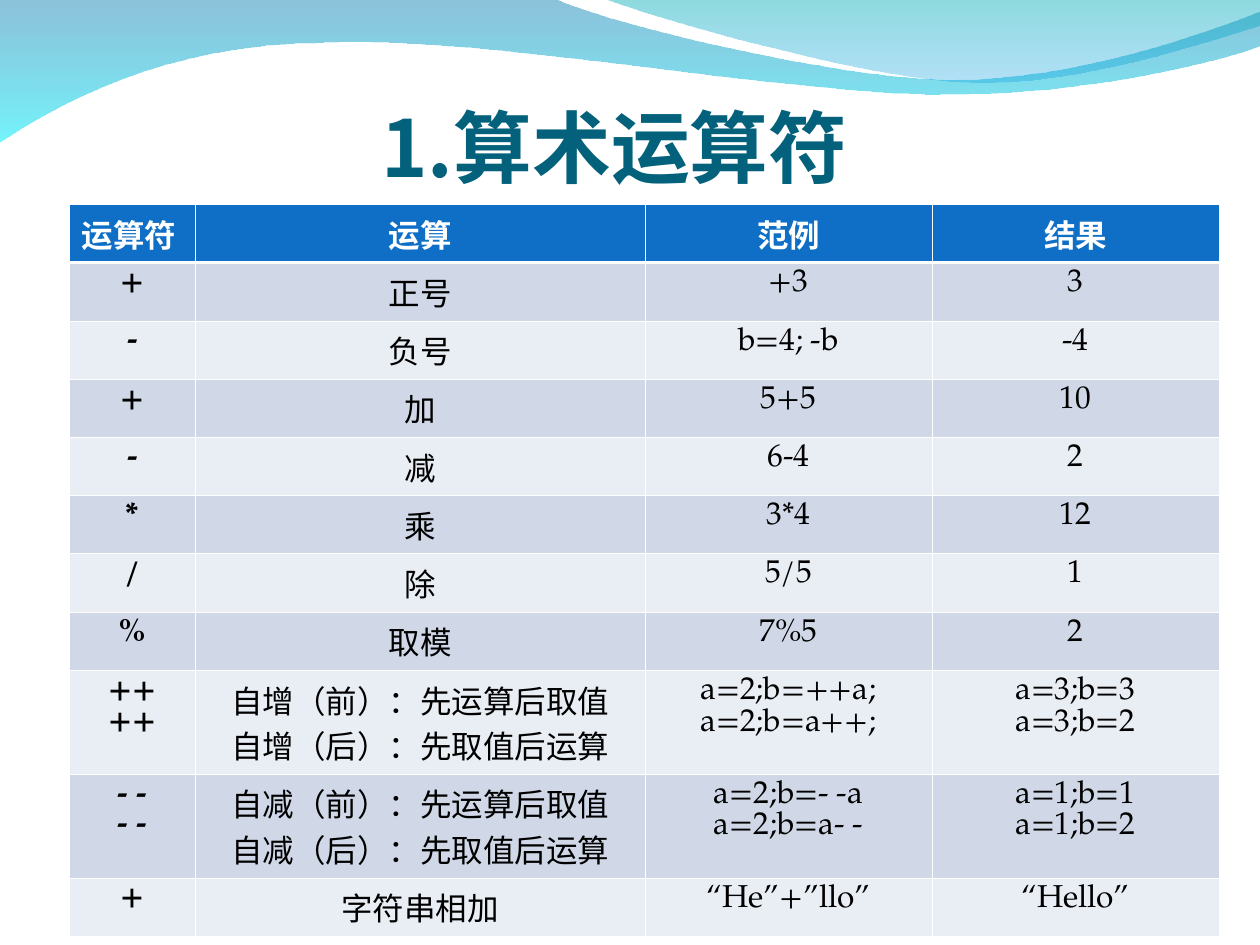
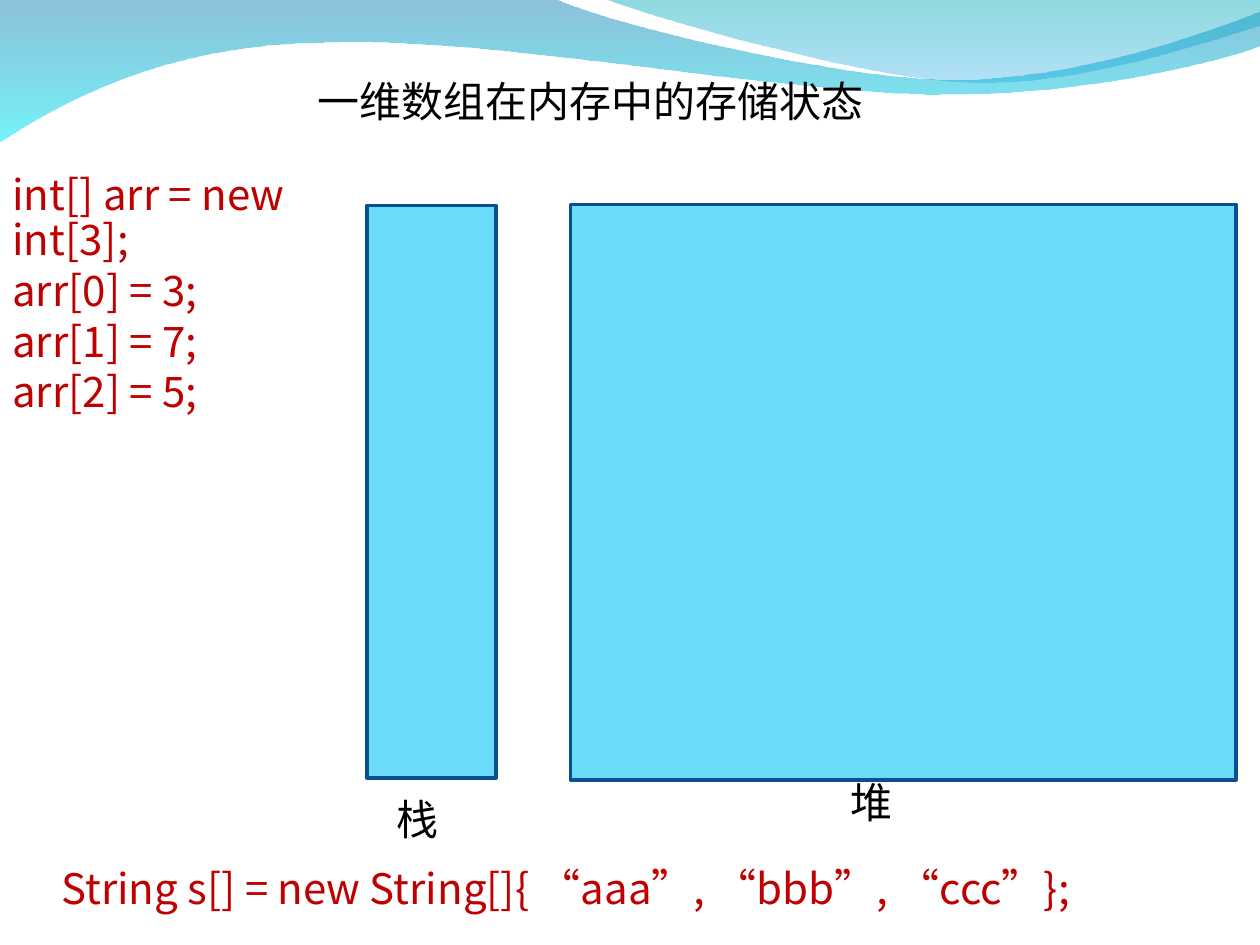
from lxml import etree
from pptx import Presentation
from pptx.dml.color import RGBColor
from pptx.enum.shapes import MSO_SHAPE as Preset
from pptx.enum.text import MSO_ANCHOR as Anchor, MSO_AUTO_SIZE as AutoSize, PP_ALIGN as Align
from pptx.oxml.ns import qn
from pptx.util import Pt

COLORS = {
    "title": "04617B", "text": "000000", "code": "C00000", "white": "FFFFFF",
    "header": "0F6FC6", "band_dark": "D0D8E8", "band_light": "E9EDF4",
    "memory": "6BDBFA", "memory_line": "085091",
    "wave_top": "0079AF", "wave_bottom": "00EBF8",
    "crest_top": "00ADB6", "crest_bottom": "009BE5",
}
SANS, SERIF, HEAD, PLAIN = "Noto Sans CJK SC", "TeX Gyre Pagella", "Times New Roman", "Arial"

# Each step holds one end point (line) or two controls and an end point (curve)
WAVE = [
    [(0, -0.7)], [(317, -0.7)],
    [(343, 12.2), (478, 45.4), (546, 45.4)], [(614, 45.4), (690, 18.7), (720, 6.5)],
    [(720.7, 26)],
    [(708, 31.7), (626, 54.7), (537, 54)], [(447, 54), (275, 20.2), (185, 24.5)],
    [(93, 25.2), (33, 59.8), (-0.7, 81.4)],
]
CREST = [
    [(345, -0.7)],
    [(366.5, 8), (491, 44.6), (554, 47)], [(616, 49.7), (692, 23), (720, 15)],
    [(720, 0)],
]

COLUMNS = [72, 257, 164, 164]
LINE_ROW, PAIR_ROW = 31.7, 50.4
OPERATORS = [
    ("运算符", "运算", "范例", "结果"),
    ("+", "正号", "+3", "3"),
    ("-", "负号", "b=4; -b", "-4"),
    ("+", "加", "5+5", "10"),
    ("-", "减", "6-4", "2"),
    ("*", "乘", "3*4", "12"),
    ("/", "除", "5/5", "1"),
    ("%", "取模", "7%5", "2"),
    ("++\n++", "自增（前）：先运算后取值\n自增（后）：先取值后运算",
     "a=2;b=++a;\na=2;b=a++;", "a=3;b=3\na=3;b=2"),
    ("- -\n- -", "自减（前）：先运算后取值\n自减（后）：先取值后运算",
     "a=2;b=- -a\na=2;b=a- -", "a=1;b=1\na=1;b=2"),
    ("+", "字符串相加", "“He”+”llo”", "“Hello”"),
]


def rgb(name):
    return RGBColor.from_string(COLORS[name])


def write_text(frame, text, size=24, font=SANS, east=None, color="text", bold=False,
               align=Align.LEFT, first_spacing=None):
    """Fill a text frame, one paragraph for each line of text."""
    for index, line in enumerate(text.split("\n")):
        para = frame.paragraphs[0] if index == 0 else frame.add_paragraph()
        para.alignment = align
        if index == 0 and first_spacing:
            para.line_spacing = first_spacing
        span = para.add_run()
        span.text = line
        span.font.size, span.font.bold = Pt(size), bold
        span.font.color.rgb = rgb(color)
        span.font.name = font
        props = span._r.get_or_add_rPr()
        etree.SubElement(props, qn("a:ea")).set("typeface", east or font)


def place(shape, box):
    shape.left, shape.top, shape.width, shape.height = (Pt(length) for length in box)


def add_label(page, box, text, **style):
    label = page.shapes.add_textbox(*(Pt(length) for length in box))
    label.text_frame.word_wrap = True
    write_text(label.text_frame, text, **style)


def add_title(page, box, text, insets, anchor, **style):
    title = page.shapes.title
    place(title, box)
    frame = title.text_frame
    frame.auto_size, frame.word_wrap = AutoSize.NONE, True
    frame.vertical_anchor = anchor
    side, top, bottom = insets
    frame.margin_left = frame.margin_right = Pt(side)
    frame.margin_top, frame.margin_bottom = Pt(top), Pt(bottom)
    write_text(frame, text, **style)


def bend(shape, outline):
    """Turn each run of three lines that stands for a curve into that curve."""
    lines = iter(list(shape._element.iter(qn("a:lnTo"))))
    for step in outline[1:]:
        parts = [next(lines) for _ in step]
        if len(parts) == 3:
            curve = etree.Element(qn("a:cubicBezTo"))
            parts[0].addprevious(curve)
            for part in parts:
                curve.append(part[0])
                part.getparent().remove(part)


def add_wave(page, layout, outline, stops):
    """Draw a translucent gradient wave and hand it to the layout."""
    corners = [(Pt(x), Pt(y)) for step in outline for x, y in step]
    builder = page.shapes.build_freeform(*corners[0])
    builder.add_line_segments(corners[1:], close=True)
    wave = builder.convert_to_shape()
    bend(wave, outline)
    wave.shadow.inherit = False
    wave.line.fill.background()
    wave.fill.gradient()
    wave.fill.gradient_angle = 270
    for stop, (position, color, opacity) in zip(wave.fill.gradient_stops, stops):
        stop.position = position
        stop.color.rgb = rgb(color)
    colors = wave._element.spPr.iter(qn("a:srgbClr"))
    for node, (position, color, opacity) in zip(colors, stops):
        etree.SubElement(node, qn("a:alpha")).set("val", str(opacity * 1000))
    layout.shapes._spTree.append(wave._element)


def add_waves(page, layout):
    add_wave(page, layout, WAVE, [(0, "wave_top", 45), (1, "wave_bottom", 55)])
    add_wave(page, layout, CREST, [(0, "crest_top", 45), (1, "crest_bottom", 30)])


def set_borders(cell, widths):
    """White cell borders; widths run left, right, top, bottom."""
    props = cell._tc.get_or_add_tcPr()
    for index, (side, width) in enumerate(zip("LRTB", widths)):
        line = etree.Element(qn("a:ln" + side), w=str(Pt(width)))
        fill = etree.SubElement(line, qn("a:solidFill"))
        etree.SubElement(fill, qn("a:srgbClr")).set("val", COLORS["white"])
        props.insert(index, line)


def add_operator_table(page, left, top):
    heights = [PAIR_ROW if "\n" in row[0] else LINE_ROW for row in OPERATORS]
    table = page.shapes.add_table(
        len(OPERATORS), len(COLUMNS), Pt(left), Pt(top), Pt(sum(COLUMNS)), Pt(sum(heights))
    ).table
    for column, width in zip(table.columns, COLUMNS):
        column.width = Pt(width)
    for r, (values, height) in enumerate(zip(OPERATORS, heights)):
        table.rows[r].height = Pt(height)
        header = r == 0
        band = "header" if header else "band_dark" if r % 2 else "band_light"
        for c, value in enumerate(values):
            cell = table.cell(r, c)
            cell.fill.solid()
            cell.fill.fore_color.rgb = rgb(band)
            set_borders(cell, (0.45, 0.45, 1.47 if r == 1 else 0.45, 1.47 if header else 0.45))
            write_text(cell.text_frame, value, size=18, font=HEAD if header else SERIF,
                       east=SANS, color="white" if header else "text",
                       bold=header or c == 0,
                       align=Align.LEFT if header and c == 0 else Align.CENTER)


def add_memory(page, box, name, label_left, label_gap, label_width):
    """A memory area with its name below, set relative to the area."""
    left, top, width, height = box
    area = page.shapes.add_shape(Preset.RECTANGLE, *(Pt(length) for length in box))
    area.shadow.inherit = False
    area.fill.solid()
    area.fill.fore_color.rgb = rgb("memory")
    area.line.color.rgb = rgb("memory_line")
    area.line.width = Pt(2)
    add_label(page, (left + label_left, top + height + label_gap, label_width, 36),
              name, font=PLAIN)


def fill_operator_page(page):
    add_title(page, (218, 43, 300, 67.6), "1.算术运算符", (0, 3.6, 0), Anchor.BOTTOM,
              size=45, color="title", bold=True)
    add_operator_table(page, 39.6, 116.8)


def fill_array_page(page):
    add_title(page, (174.5, 39.6, 433.5, 36), "一维数组在内存中的存储状态", (7.2, 3.6, 3.6),
              Anchor.TOP, font=PLAIN)
    # Stack and heap
    add_memory(page, (209.7, 117.5, 73.8, 327), "栈", 9.8, 5.5, 113)
    add_memory(page, (326, 116.8, 380.2, 329), "堆", 153, -5.9, 107)
    # Code
    add_label(page, (0, 96, 216, 174),
              "int[] arr = new int[3];\narr[0] = 3;\narr[1] = 7;\narr[2] = 5;",
              color="code", first_spacing=0.9)
    add_label(page, (28, 489.6, 692, 36), "String s[] = new String[]{ “aaa”, “bbb”, “ccc”};",
              color="code")


def main():
    deck = Presentation()
    deck.slide_width, deck.slide_height = Pt(720), Pt(540)
    layout = deck.slide_layouts[5]
    operator_page, array_page = (deck.slides.add_slide(layout) for _ in range(2))
    add_waves(operator_page, layout)
    fill_operator_page(operator_page)
    fill_array_page(array_page)
    deck.save("out.pptx")


if __name__ == "__main__":
    main()
